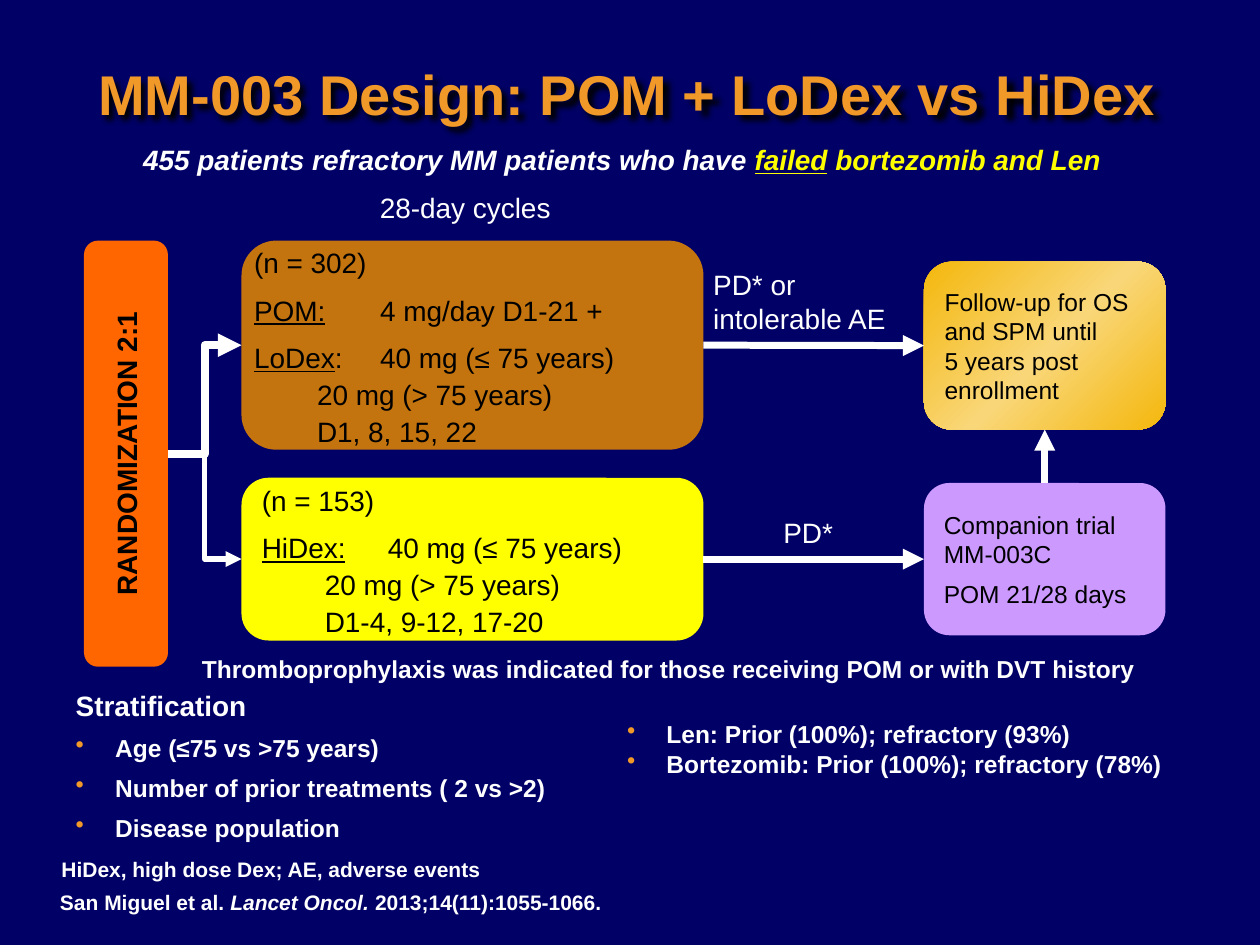
from copy import deepcopy

from lxml import etree
from pptx import Presentation
from pptx.dml.color import RGBColor
from pptx.enum.shapes import MSO_CONNECTOR, MSO_SHAPE
from pptx.enum.text import MSO_ANCHOR, PP_ALIGN
from pptx.oxml.ns import qn
from pptx.util import Pt

ROUNDED = MSO_SHAPE.ROUNDED_RECTANGLE
STRAIGHT, ELBOW = MSO_CONNECTOR.STRAIGHT, MSO_CONNECTOR.ELBOW
TOP, MIDDLE, BOTTOM = MSO_ANCHOR.TOP, MSO_ANCHOR.MIDDLE, MSO_ANCHOR.BOTTOM
LEFT, CENTER = PP_ALIGN.LEFT, PP_ALIGN.CENTER
SITE_TOP, SITE_LEFT, SITE_BOTTOM, SITE_RIGHT = range(4)
COLORS = {
    "navy": "000066", "orange": "F09828", "white": "FFFFFF", "black": "000000",
    "yellow": "FFFF00", "brown": "C4740E", "vivid": "FF6600", "lilac": "CC99FF",
    "gold": "F4B70C", "pale": "F9D779",
}
UNDERLINED = {"underline": True}


def rgb(name):
    """Return the named colour."""
    return RGBColor.from_string(COLORS[name])


def add_child(parent, tag, **attributes):
    """Append a drawing element and return it."""
    return etree.SubElement(parent, qn(tag), attributes)


def write(frame, paragraphs, size=16, color="white", bold=False, italic=False,
          align=LEFT, gap=0, after=0, spacing=None, bullets=()):
    """Fill a text frame; each paragraph is a list of (text, format) spans."""
    for index, spans in enumerate(paragraphs):
        para = frame.paragraphs[0] if index == 0 else frame.add_paragraph()
        if index in bullets:
            properties = para._p.get_or_add_pPr()
            properties.set("marL", str(Pt(22.5)))
            properties.set("indent", str(-Pt(22.5)))
            tint = add_child(properties, "a:buClr")
            add_child(tint, "a:srgbClr", val=COLORS["orange"])
            add_child(properties, "a:buChar", char="•")
        layout = {"alignment": align, "space_before": Pt(gap if index else 0),
                  "space_after": Pt(after), "line_spacing": spacing}
        for name, value in layout.items():
            setattr(para, name, value)
        for text, extra in spans:
            base = {"name": "Arial", "size": Pt(size), "bold": bold, "italic": italic}
            values = {**base, **extra}
            tone = values.pop("color", color)
            for number, line in enumerate(text.split("\n")):
                if number:
                    para.add_line_break()
                span = para.add_run()
                span.text = line
                for name, value in values.items():
                    setattr(span.font, name, value)
                span.font.color.rgb = rgb(tone)


def add_label(page, box, paragraphs, wrap=False, anchor=TOP, **style):
    """Add a text box."""
    label = page.shapes.add_textbox(*map(Pt, box))
    label.text_frame.word_wrap = wrap
    label.text_frame.vertical_anchor = anchor
    write(label.text_frame, paragraphs, **style)
    return label


def add_card(page, box, fill, paragraphs, inset=7.2, **style):
    """Add a rounded card with dark text."""
    card = page.shapes.add_shape(ROUNDED, *map(Pt, box))
    card.shadow.inherit = False
    card.fill.solid()
    card.fill.fore_color.rgb = rgb(fill)
    card.line.fill.background()
    frame = card.text_frame
    frame.word_wrap = True
    frame.vertical_anchor = MIDDLE
    frame.margin_left = frame.margin_right = Pt(inset)
    write(frame, paragraphs, color="black", gap=3, after=3, **style)
    return card


def add_arrow(page, kind, start, start_site, end, end_site, width=4):
    """Join two cards with a white arrow."""
    arrow = page.shapes.add_connector(kind, 0, 0, 0, 0)
    arrow.begin_connect(start, start_site)
    arrow.end_connect(end, end_site)
    arrow.line.color.rgb = rgb("white")
    arrow.line.width = Pt(width)
    add_child(arrow.line._get_or_add_ln(), "a:tailEnd", type="triangle")
    add_child(arrow._element.spPr, "a:effectLst")


def add_gradient(card):
    """Give a card a diagonal gold sheen."""
    card.fill.gradient()
    card.fill.gradient_angle = 315
    stops = card._element.spPr.find(".//" + qn("a:gsLst"))
    stops.insert(1, deepcopy(stops[0]))
    sheen = ((0, "gold"), (0.52, "pale"), (1, "gold"))
    for stop, (position, color) in zip(card.fill.gradient_stops, sheen):
        stop.position = position
        stop.color.rgb = rgb(color)


def add_header(page, left, top, width):
    """Add the shadowed title and the population line."""
    title = add_label(page, (left, top, width, 47),
                      [[("MM-003 Design: POM + LoDex vs HiDex", {})]], wrap=True,
                      anchor=MIDDLE, size=32, color="orange", bold=True,
                      align=CENTER, spacing=0.9)
    effects = add_child(title._element.spPr, "a:effectLst")
    shadow = add_child(effects, "a:outerShdw", blurRad=str(Pt(3)),
                       dist=str(Pt(3)), dir="2700000")
    add_child(shadow, "a:srgbClr", val=COLORS["black"])
    add_label(page, (left + 9.5, top + 45.4, 653, 26.6), [[
        ("455 patients refractory MM patients who have ", {}),
        ("failed", {"color": "yellow", **UNDERLINED}),
        (" bortezomib and Len", {"color": "yellow"}),
    ]], wrap=True, bold=True, italic=True, align=CENTER)


def add_flow(page, left, top):
    """Add the randomization, the two arms and the follow-up cards."""
    arm, outcome = left + 90, left + 480
    draw = add_card(page, (left, top, 48, 243.5), "vivid",
                    [[("RANDOMIZATION 2:1", {})]], bold=True, align=CENTER)
    draw.text_frame._txBody.bodyPr.set("vert", "vert270")
    pom = add_card(page, (arm, top, 264, 119.5), "brown", [
        [("(n = 302)", {})],
        [("POM:", UNDERLINED), ("\t4 mg/day D1-21 +", {})],
        [("LoDex", UNDERLINED),
         (":\t40 mg (≤ 75 years)\n\t20 mg (> 75 years)\n\tD1, 8, 15, 22", {})],
    ], inset=1.4, spacing=1.1)
    hidex = add_card(page, (arm, top + 135.5, 264, 93), "yellow", [
        [("(n = 153)", {})],
        [("HiDex:", UNDERLINED),
         ("\t40 mg (≤ 75 years)\n\t20 mg (> 75 years)\n\tD1-4, 9-12, 17-20", {})],
    ], spacing=1.1)
    follow = add_card(page, (outcome, top + 12, 138, 96), "gold", [
        [("Follow-up for OS and SPM until\n5 years post enrollment", {})]], size=14)
    add_gradient(follow)
    companion = add_card(page, (outcome, top + 138.5, 138, 87), "lilac", [
        [("Companion trial\nMM-003C", {})], [("POM 21/28 days", {})]], size=14)
    add_arrow(page, ELBOW, draw, SITE_RIGHT, hidex, SITE_LEFT, 3)
    add_arrow(page, ELBOW, draw, SITE_RIGHT, pom, SITE_LEFT, 4.5)
    add_arrow(page, STRAIGHT, pom, SITE_RIGHT, follow, SITE_LEFT)
    add_arrow(page, STRAIGHT, hidex, SITE_RIGHT, companion, SITE_LEFT)
    add_arrow(page, STRAIGHT, companion, SITE_TOP, follow, SITE_BOTTOM)
    add_label(page, (left + 162, top - 32.4, 113, 26.6), [[("28-day cycles", {})]])
    add_label(page, (left + 352.5, top + 12, 114, 46), [[("PD* or\nintolerable AE", {})]])
    add_label(page, (left + 392.5, top + 153.4, 43, 26.6), [[("PD*", {})]], anchor=BOTTOM)


def add_notes(page, left, top):
    """Add the prophylaxis line, the stratification lists and the footnotes."""
    style = {"size": 14, "bold": True}
    add_label(page, (left + 80, top, 550, 24.5), [[(
        "Thromboprophylaxis was indicated for those receiving POM or with DVT history",
        {})]], align=CENTER, **style)
    add_label(page, (left + 9, top + 20, 292, 100), [
        [("Stratification", {"size": Pt(16)})],
        [("Age (≤75 vs >75 years)", {})],
        [("Number of prior treatments ( 2 vs >2)", {})],
        [("Disease population", {})],
    ], wrap=True, gap=6, bullets=(1, 2, 3), **style)
    add_label(page, (left + 324, top + 37.5, 322, 41), [
        [("Len: Prior (100%); refractory (93%)", {})],
        [("Bortezomib: Prior (100%); refractory (78%)", {})],
    ], bullets=(0, 1), **style)
    add_label(page, (left + 0.8, top + 116, 256, 21.8),
              [[("HiDex, high dose Dex; AE, adverse events", {})]], size=12, bold=True)
    add_label(page, (left, top + 134.8, 327, 21.8), [[
        ("San Miguel et al. ", {}), ("Lancet Oncol. ", {"italic": True}),
        ("2013;14(11):1055-1066.", {})]], size=12, bold=True)


def main():
    """Build and save the slide."""
    deck = Presentation()
    deck.slide_width, deck.slide_height = Pt(720), Pt(540)
    page = deck.slides.add_slide(deck.slide_layouts[6])
    page.background.fill.solid()
    page.background.fill.fore_color.rgb = rgb("navy")
    add_header(page, 19.4, 32.4, 678)
    add_flow(page, 48, 137.5)
    add_notes(page, 27.2, 370)
    deck.save("out.pptx")


if __name__ == "__main__":
    main()
